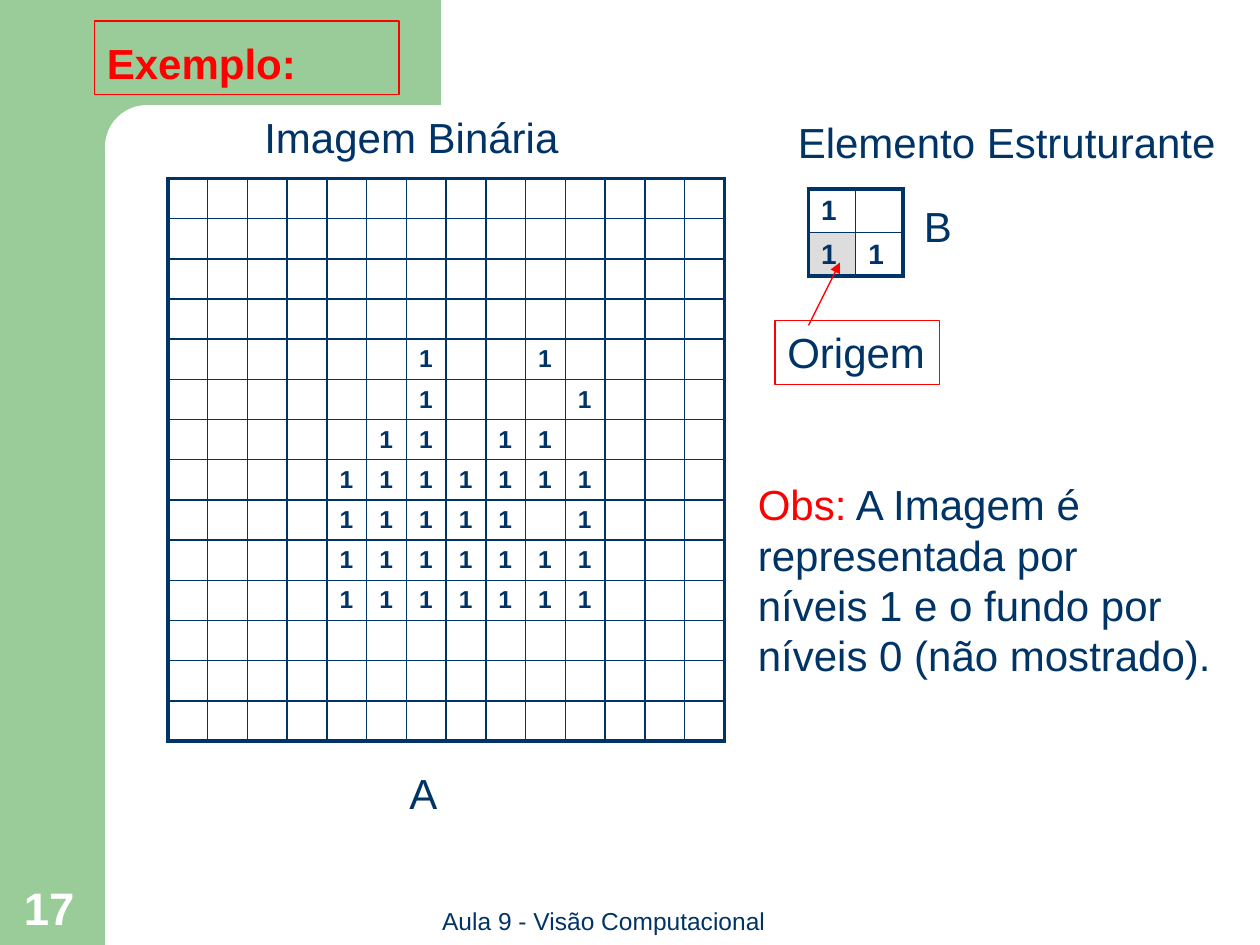
from lxml.etree import SubElement
from pptx import Presentation
from pptx.dml.color import RGBColor
from pptx.enum.shapes import MSO_CONNECTOR as CONN, MSO_SHAPE as SHAPE
from pptx.enum.text import MSO_ANCHOR as ANCHOR, PP_ALIGN as ALIGN
from pptx.oxml.ns import qn
from pptx.util import Emu, Inches, Pt

GREEN, NAVY, RED, WHITE, GREY = "99CC99", "003366", "FF0000", "FFFFFF", "DDDDDD"

BINARY_IMAGE = [
    "..............",
    "..............",
    "..............",
    "..............",
    "......1..1....",
    "......1...1...",
    ".....11.11....",
    "....1111111...",
    "....11111.1...",
    "....1111111...",
    "....1111111...",
    "..............",
    "..............",
    "..............",
]
STRUCTURING_ELEMENT = ["1.", "11"]


def u(n):
    """Grid units: twelve to the inch, so the slide is 120 by 90."""
    return Emu(round(n * Inches(1) / 12))


def rgb(value):
    return RGBColor.from_string(value)


def add_block(s, box, fill=None, line=None, shape=SHAPE.RECTANGLE):
    sp = s.shapes.add_shape(shape, *map(u, box))
    sp.shadow.inherit = False
    if fill:
        sp.fill.solid()
        sp.fill.fore_color.rgb = rgb(fill)
    else:
        sp.fill.background()
    if line:
        sp.line.color.rgb = rgb(line)
        sp.line.width = Pt(0.75)
    else:
        sp.line.fill.background()
    return sp


def style(p, size, color, bold=False, align=ALIGN.LEFT):
    p.alignment = align
    f = p.font
    f.name, f.size, f.bold = "Arial", Pt(size), bold
    f.color.rgb = rgb(color)


def write(sp, text, size=24, color=NAVY, bold=False, align=ALIGN.LEFT,
          anchor=ANCHOR.TOP, wrap=False):
    tf = sp.text_frame
    tf.word_wrap, tf.vertical_anchor = wrap, anchor
    p = tf.paragraphs[0]
    p.text = text
    style(p, size, color, bold, align)
    return p


def add_label(s, box, text, **look):
    return write(s.shapes.add_textbox(*map(u, box)), text, **look)


def set_borders(cell, **widths):
    tcPr = cell._tc.get_or_add_tcPr()
    for side in "LRTB":
        ln = SubElement(tcPr, qn("a:ln" + side), w=str(Pt(widths[side])))
        fill = SubElement(ln, qn("a:solidFill"))
        SubElement(fill, qn("a:srgbClr"), val=NAVY)


def add_pixels(s, box, pixels, size, origin=None):
    """Draw a square grid of pixels with a thick outer frame."""
    n = len(pixels)
    table = s.shapes.add_table(n, n, *map(u, box)).table
    table.first_row = table.horz_banding = False
    for i, row in enumerate(pixels):
        for j, value in enumerate(row):
            cell = table.cell(i, j)
            edges = {"L": j == 0, "R": j == n - 1, "T": i == 0, "B": i == n - 1}
            set_borders(cell, **{k: 2.25 if e else 1 for k, e in edges.items()})
            if (i, j) == origin:
                cell.fill.solid()
                cell.fill.fore_color.rgb = rgb(GREY)
            else:
                cell.fill.background()
            cell.margin_top = cell.margin_bottom = 0
            cell.vertical_anchor = ANCHOR.MIDDLE
            p = cell.text_frame.paragraphs[0]
            if value == "1":
                p.text = value
            style(p, size, NAVY, bold=True)


def add_arrow(s, start, end):
    c = s.shapes.add_connector(CONN.STRAIGHT, *map(u, start + end))
    c.line.color.rgb = rgb(RED)
    c.line.width = Pt(0.75)
    spPr = c._element.spPr
    SubElement(spPr.find(qn("a:ln")), qn("a:tailEnd"), type="triangle")
    SubElement(spPr, qn("a:effectLst"))


def draw_frame(s, w, h):
    # Green side and top bands, with a white rounded inner corner
    add_block(s, (0, 0, 10, h), GREEN)
    add_block(s, (9, 0, 33, 14), GREEN)
    corner = add_block(s, (10, 10, 67, 8), WHITE, shape=SHAPE.ROUNDED_RECTANGLE)
    corner.adjustments[0] = 0.5
    # Footer and slide number
    add_label(s, (38.5, h - 4.3, 38, 4), "Aula 9 - Visão Computacional", size=14,
              align=ALIGN.CENTER, anchor=ANCHOR.BOTTOM, wrap=True)
    add_label(s, (1.1, h - 12, 7.7, 11.6), "17", size=26, color=WHITE, bold=True,
              anchor=ANCHOR.BOTTOM, wrap=True)


def draw_title(s, box):
    p = write(add_block(s, box, line=RED), "Exemplo:", color=RED, bold=True,
              anchor=ANCHOR.BOTTOM, wrap=True)
    p.line_spacing = 0.9


def draw_image(s, x, y, w, h):
    add_label(s, (x + 8, y - 7, 30.5, 6), "Imagem Binária")
    add_pixels(s, (x, y, w, h), BINARY_IMAGE, 14)
    add_label(s, (x + 21.8, y + h + 1.9, 5, 6), "A")


def draw_element(s, x, y, w, h):
    add_label(s, (x - 2.2, y - 7.5, 42.2, 6), "Elemento Estruturante")
    add_pixels(s, (x, y, w, h), STRUCTURING_ELEMENT, 16, origin=(1, 0))
    add_label(s, (x + w + 0.8, y + 0.5, 5, 6), "B")
    # Origin pixel callout
    write(add_block(s, (x - 3.2, y + 12.5, 15.7, 6.1), line=RED), "Origem")
    add_arrow(s, (x, y + 13), (x + 3, y + 7))


def draw_note(s, box):
    p = add_label(s, box, "Obs: A Imagem é\vrepresentada por\v"
                          "níveis 1 e o fundo por\vníveis 0 (não mostrado).")
    first = p.runs[0]
    rest = first.text.removeprefix("Obs:")
    first.text = "Obs:"
    first.font.color.rgb = rgb(RED)
    r = p.add_run()
    r.text = rest
    first._r.addnext(r._r)


def main():
    prs = Presentation()
    prs.slide_width, prs.slide_height = u(120), u(90)
    s = prs.slides.add_slide(prs.slide_layouts[6])
    draw_frame(s, 120, 90)
    draw_title(s, (9, 2, 29, 7))
    draw_image(s, 16, 17, 53, 53.6)
    draw_element(s, 77, 18, 9, 8.3)
    draw_note(s, (71, 45, 45.6, 20.4))
    prs.save("out.pptx")


if __name__ == "__main__":
    main()
